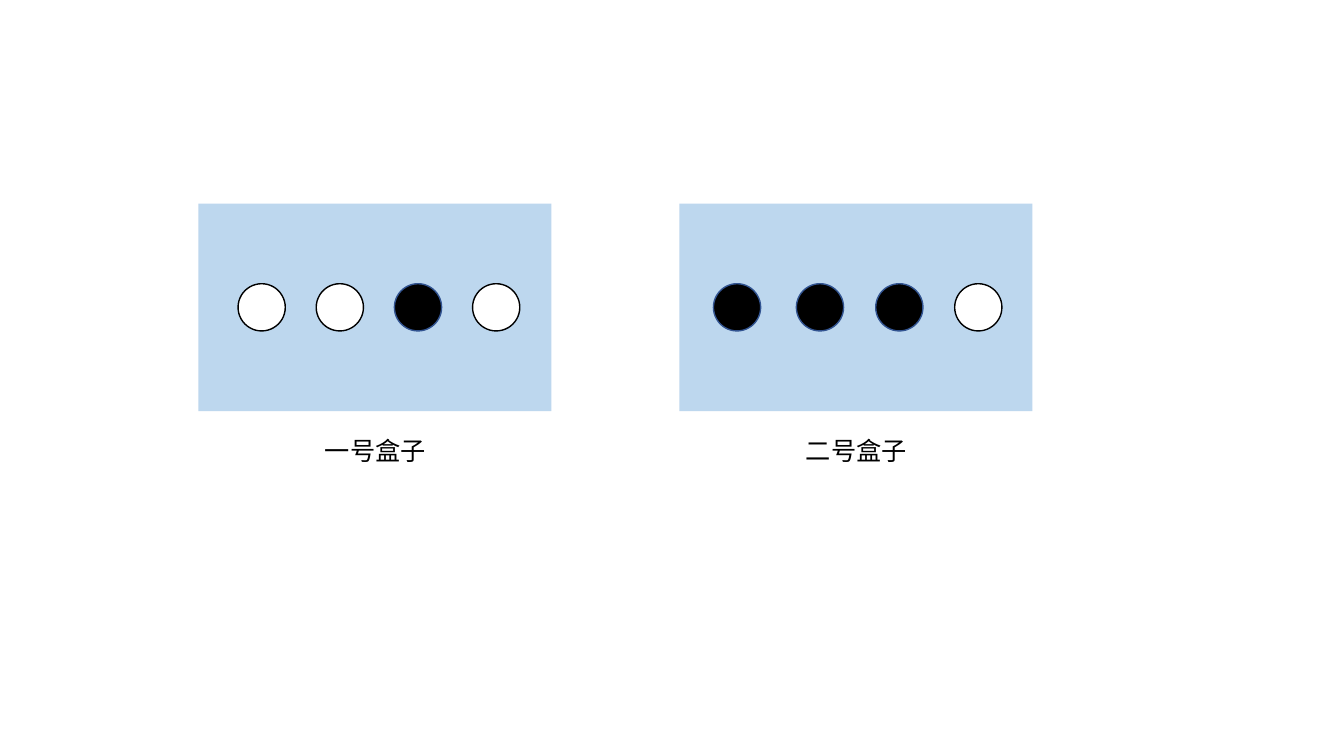
from dataclasses import dataclass

import pptx
import pptx.dml.color
import pptx.enum.shapes
import pptx.enum.text
import pptx.oxml
import pptx.oxml.ns
import pptx.slide
import pptx.util

Cm = pptx.util.Cm
RGBColor = pptx.dml.color.RGBColor
MSO_SHAPE = pptx.enum.shapes.MSO_SHAPE

BOX_BLUE = RGBColor(0xBD, 0xD7, 0xEE)
BALL_EDGE = RGBColor(0x32, 0x54, 0x91)
BLACK = RGBColor(0, 0, 0)
WHITE = RGBColor(0xFF, 0xFF, 0xFF)
FONT = "Noto Sans CJK SC"

# Shared measures in cm
BOX_TOP, BOX_W, BOX_H = 5.13, 8.9, 5.23
BALL_D = 1.19
BALL_TOP = BOX_TOP + (BOX_H - BALL_D) / 2
LABEL_DX, LABEL_TOP, LABEL_W, LABEL_H = 2.94, 10.85, 3.25, 1.02


@dataclass
class Ball:
    dx: float  # distance from the left edge of the box
    black: bool


@dataclass
class Box:
    label: str
    left: float
    balls: list[Ball]


BOXES = [
    Box("一号盒子", 5, [Ball(1 + 1.97 * i, i == 2) for i in range(4)]),
    Box("二号盒子", 17.12, [Ball(0.86, True), Ball(2.95, True),
                        Ball(4.95, True), Ball(6.94, False)]),
]


def add_filled(shapes, kind: MSO_SHAPE, left: float, top: float, width: float,
               height: float, fill: RGBColor, line: RGBColor | None = None) -> None:
    sp = shapes.add_shape(kind, Cm(left), Cm(top), Cm(width), Cm(height))
    sp.shadow.inherit = False
    sp.fill.solid()
    sp.fill.fore_color.rgb = fill
    if line is None:
        sp.line.fill.background()
    else:
        sp.line.color.rgb = line
        sp.line.width = pptx.util.Pt(1)


def add_text(s: pptx.slide.Slide, text: str, *, left: float, top: float, width: float,
             height: float, size: float = 18, color: RGBColor = BLACK,
             font: str = FONT) -> None:
    tf = s.shapes.add_textbox(Cm(left), Cm(top), Cm(width), Cm(height)).text_frame
    tf.word_wrap = True
    tf.auto_size = pptx.enum.text.MSO_AUTO_SIZE.SHAPE_TO_FIT_TEXT
    r = tf.paragraphs[0].add_run()
    r.text = text
    r.font.size = pptx.util.Pt(size)
    r.font.color.rgb = color
    r.font.name = font
    # Chinese characters take the East Asian typeface
    ea = pptx.oxml.parse_xml(f'<a:ea {pptx.oxml.ns.nsdecls("a")} typeface="{font}"/>')
    r.font._element.find(pptx.oxml.ns.qn("a:latin")).addnext(ea)


def draw_box(s: pptx.slide.Slide, box: Box) -> None:
    # Box and its balls, grouped
    group = s.shapes.add_group_shape()
    add_filled(group.shapes, MSO_SHAPE.RECTANGLE, box.left, BOX_TOP, BOX_W, BOX_H, BOX_BLUE)
    for ball in box.balls:
        fill, line = (BLACK, BALL_EDGE) if ball.black else (WHITE, BLACK)
        add_filled(group.shapes, MSO_SHAPE.OVAL, box.left + ball.dx, BALL_TOP,
                   BALL_D, BALL_D, fill, line)
    # Label below
    add_text(s, box.label, left=box.left + LABEL_DX, top=LABEL_TOP,
             width=LABEL_W, height=LABEL_H)


def main() -> None:
    prs = pptx.Presentation()
    prs.slide_width, prs.slide_height = Cm(33.87), Cm(19.05)
    s = prs.slides.add_slide(prs.slide_layouts[6])
    for box in BOXES:
        draw_box(s, box)
    prs.save("out.pptx")


if __name__ == "__main__":
    main()
